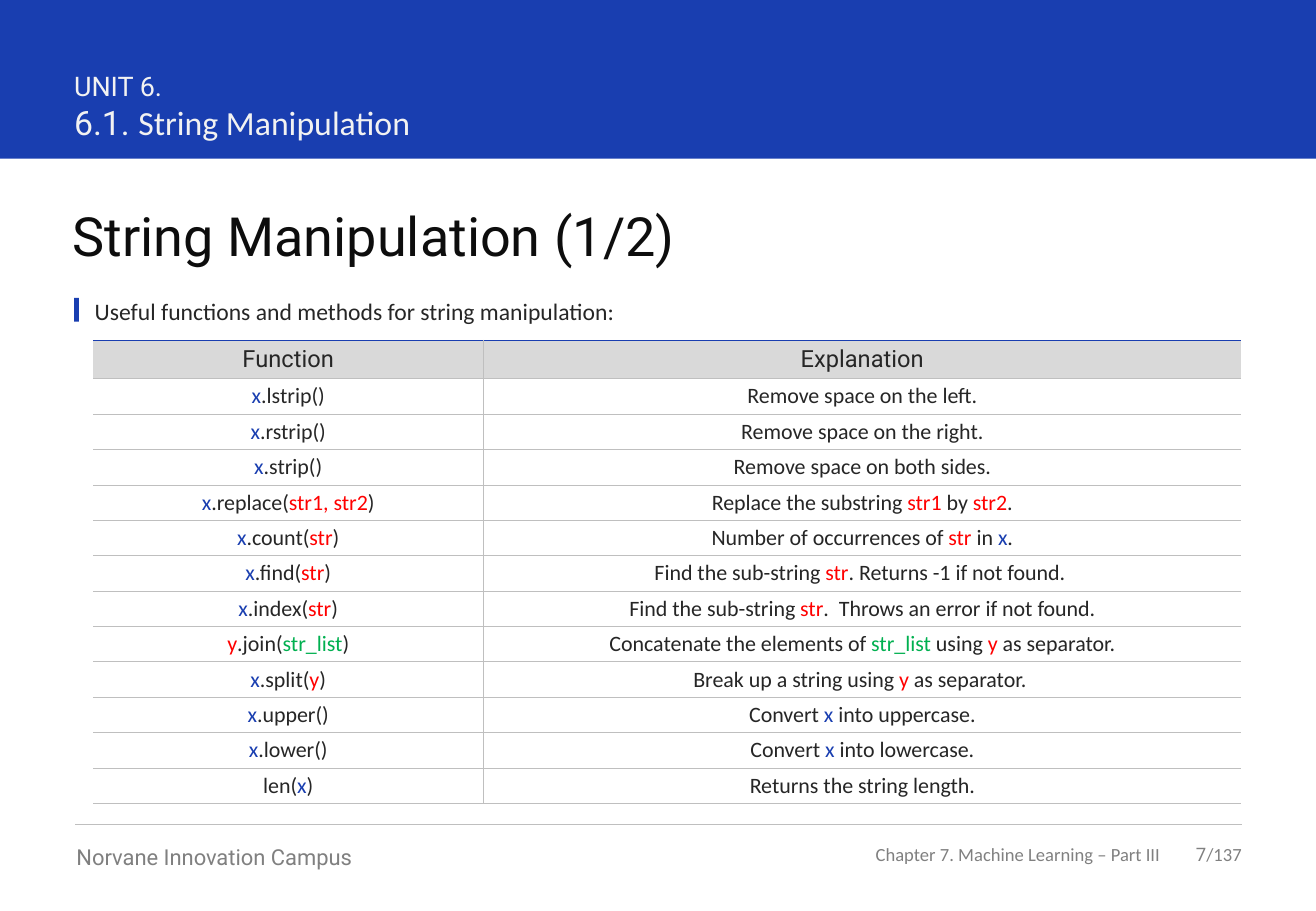
from dataclasses import dataclass

from pptx import Presentation
from pptx.dml.color import RGBColor
from pptx.enum.shapes import MSO_CONNECTOR as Connector, MSO_SHAPE as Shape
from pptx.enum.text import MSO_ANCHOR as Anchor, MSO_AUTO_SIZE as AutoSize, PP_ALIGN as Align
from pptx.oxml.ns import qn
from pptx.util import Cm, Pt
from lxml.etree import SubElement


@dataclass(frozen=True)
class Theme:
    heading: str = "Roboto"
    body: str = "Calibri"
    blue: str = "193EB0"
    red: str = "FF0000"
    green: str = "00B050"
    ink: str = "262626"
    title: str = "0D0D0D"
    light: str = "F2F2F2"
    footer: str = "808080"
    rule: str = "BFBFBF"
    header: str = "D9D9D9"
    title_size: int = 32
    section_size: int = 20
    unit_size: int = 16
    lead_size: int = 14
    cell_size: int = 13
    footer_size: int = 11


theme = Theme()


def place_text(shape, left, top, width, height, align=Align.LEFT, anchor=Anchor.TOP):
    shape.left, shape.top, shape.width, shape.height = Cm(left), Cm(top), Cm(width), Cm(height)
    frame = shape.text_frame
    frame.margin_left = frame.margin_right = frame.margin_top = frame.margin_bottom = 0
    frame.word_wrap = True
    frame.auto_size = AutoSize.NONE
    frame.vertical_anchor = anchor
    paragraph = frame.paragraphs[0]
    paragraph.alignment = align
    paragraph.space_before = Pt(0)
    return paragraph


def add_run(paragraph, text, size, font, color):
    run = paragraph.add_run()
    run.text = text
    run.font.size = Pt(size)
    run.font.name = font
    run.font.color.rgb = RGBColor.from_string(color)


presentation = Presentation()
presentation.slide_width = Cm(27.51)
presentation.slide_height = Cm(19.05)
slide = presentation.slides.add_slide(presentation.slide_layouts[1])
shapes = slide.shapes

for left, top, width, height in [(0, 0, 27.51, 3.32), (1.55, 6.23, 0.1, 0.5)]:
    block = shapes.add_shape(Shape.RECTANGLE, Cm(left), Cm(top), Cm(width), Cm(height))
    block.shadow.inherit = False
    block.fill.solid()
    block.fill.fore_color.rgb = RGBColor.from_string(theme.blue)
    block.line.fill.background()

unit = place_text(shapes.add_textbox(0, 0, 0, 0), 1.55, 1.45, 16.18, 1.55)
add_run(unit, "UNIT 6.", theme.unit_size, theme.heading, theme.light)
unit.add_line_break()
add_run(unit, "6.1. ", theme.section_size, theme.heading, theme.light)
add_run(unit, "String Manipulation", theme.section_size, theme.body, theme.light)

title = place_text(shapes.title, 1.52, 4.24, 24.43, 1.37)
add_run(title, "String Manipulation (1/2)", theme.title_size, theme.heading, theme.title)

lead = place_text(slide.placeholders[1], 1.98, 6.2, 23.98, 0.61)
lead.space_after = Pt(6)
lead_properties = lead._p.get_or_add_pPr()
lead_properties.set("marL", "0")
lead_properties.set("indent", "0")
SubElement(lead_properties, qn("a:buNone"))
add_run(lead, "Useful functions and methods for string manipulation:",
        theme.lead_size, theme.body, theme.ink)

token_colors = {
    "x": theme.blue,
    "y": theme.red,
    "str": theme.red,
    "str1": theme.red,
    "str2": theme.red,
    "str1, str2": theme.red,
    "str_list": theme.green,
}
rows = [
    ("Function", "Explanation"),
    ("{x}.lstrip()", "Remove space on the left."),
    ("{x}.rstrip()", "Remove space on the right."),
    ("{x}.strip()", "Remove space on both sides."),
    ("{x}.replace({str1, str2})", "Replace the substring {str1} by {str2}."),
    ("{x}.count({str})", "Number of occurrences of {str} in {x}."),
    ("{x}.find({str})", "Find the sub-string {str}. Returns -1 if not found. "),
    ("{x}.index({str})", "Find the sub-string {str}.  Throws an error if not found."),
    ("{y}.join({str_list})", "Concatenate the elements of {str_list} using {y} as separator."),
    ("{x}.split({y})", "Break up a string using {y} as separator. "),
    ("{x}.upper()", "Convert {x} into uppercase."),
    ("{x}.lower()", "Convert {x} into lowercase."),
    ("len({x})", "Returns the string length."),
]
header_height, row_height = 0.8, 0.74
table_height = header_height + row_height * (len(rows) - 1)
table = shapes.add_table(len(rows), 2, Cm(1.95), Cm(7.12), Cm(24), Cm(table_height)).table
table.first_row = False
table.horz_banding = False
table.columns[0].width = Cm(8.15)
table.columns[1].width = Cm(15.85)

for row_index, texts in enumerate(rows):
    is_header = row_index == 0
    table.rows[row_index].height = Cm(header_height if is_header else row_height)
    size = theme.lead_size if is_header else theme.cell_size
    font = theme.heading if is_header else theme.body
    for column_index, text in enumerate(texts):
        cell = table.cell(row_index, column_index)
        cell.margin_left = cell.margin_right = Cm(0.25)
        cell.margin_top = cell.margin_bottom = 0
        cell.vertical_anchor = Anchor.MIDDLE
        if is_header:
            cell.fill.solid()
            cell.fill.fore_color.rgb = RGBColor.from_string(theme.header)
        else:
            cell.fill.background()
        paragraph = cell.text_frame.paragraphs[0]
        paragraph.alignment = Align.CENTER
        for part_index, part in enumerate(text.replace("}", "{").split("{")):
            if part:
                color = token_colors[part] if part_index % 2 else theme.ink
                add_run(paragraph, part, size, font, color)

        borders = [
            ("a:lnL", theme.rule if column_index == 1 else None, 0.5),
            ("a:lnR", theme.rule if column_index == 0 else None, 0.5),
            ("a:lnT", theme.blue if is_header else theme.rule, 1 if is_header else 0.5),
            ("a:lnB", theme.rule, 0.5),
        ]
        cell_properties = cell._tc.get_or_add_tcPr()
        for position, (tag, color, width) in enumerate(borders):
            border = SubElement(cell_properties, qn(tag), w=str(Pt(width)))
            if color:
                SubElement(SubElement(border, qn("a:solidFill")), qn("a:srgbClr"), val=color)
            else:
                SubElement(border, qn("a:noFill"))
            cell_properties.insert(position, border)

footer_line = shapes.add_connector(Connector.STRAIGHT, Cm(1.57), Cm(17.25), Cm(25.96), Cm(17.25))
footer_line.line.color.rgb = RGBColor.from_string(theme.rule)
footer_line.line.width = Pt(0.5)
SubElement(footer_line._element.spPr, qn("a:effectLst"))

campus = place_text(shapes.add_textbox(0, 0, 0, 0), 1.6, 17.65, 8.03, 0.56)
add_run(campus, "Norvane Innovation Campus", theme.cell_size, theme.heading, theme.footer)

chapter = place_text(shapes.add_textbox(0, 0, 0, 0), 17.78, 17.63, 6.48, 0.48,
                     Align.RIGHT, Anchor.MIDDLE)
add_run(chapter, "Chapter 7. Machine Learning – Part III",
        theme.footer_size, theme.body, theme.footer)

page = place_text(shapes.add_textbox(0, 0, 0, 0), 24.26, 17.63, 1.7, 0.48,
                  Align.RIGHT, Anchor.MIDDLE)
add_run(page, "7", theme.footer_size, theme.heading, theme.footer)
add_run(page, "/137", theme.footer_size, theme.body, theme.footer)

presentation.save("out.pptx")
